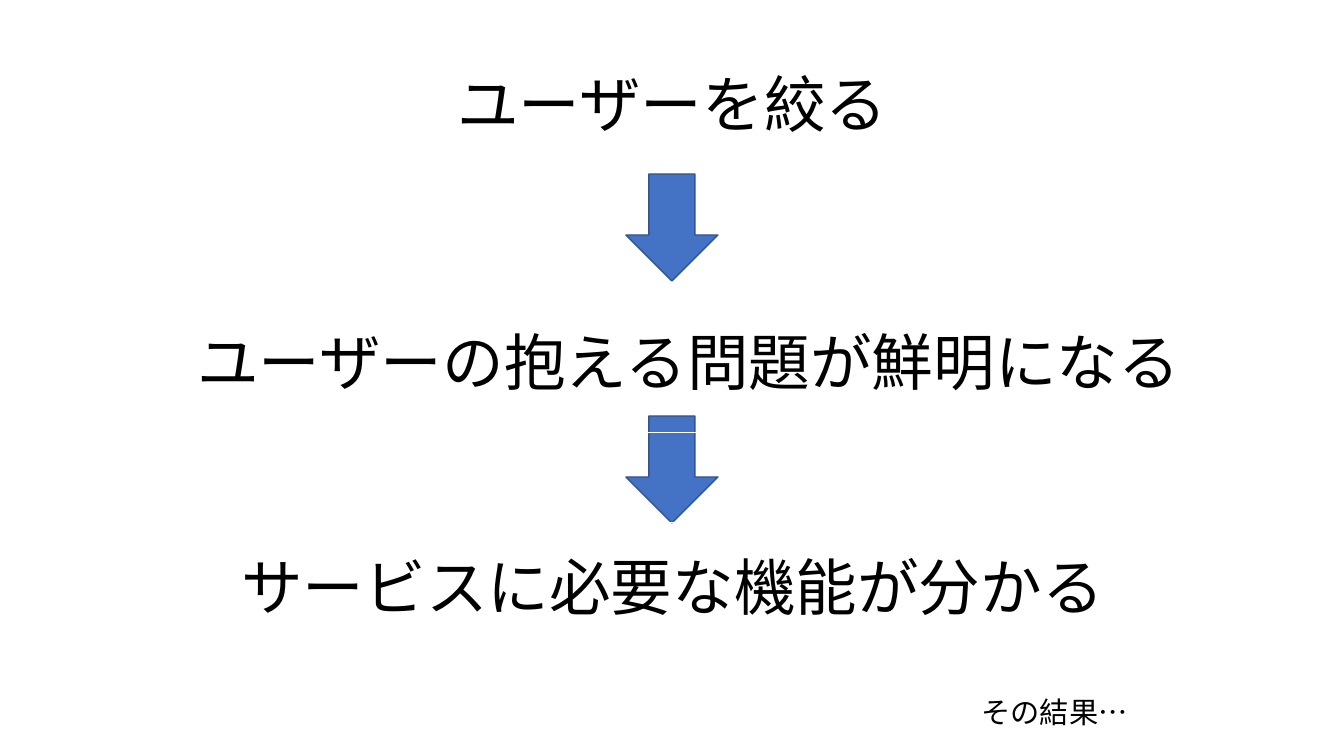
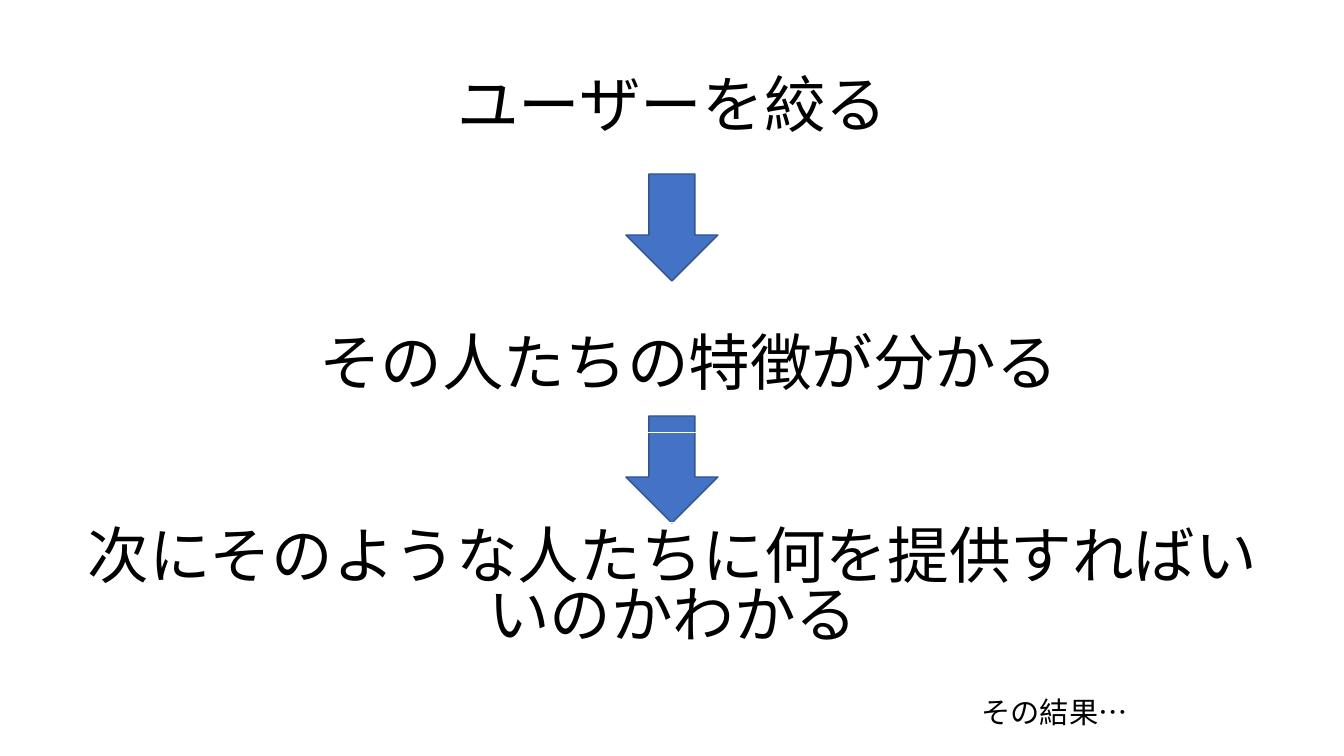
from pptx import Presentation
from pptx.dml.color import RGBColor
from pptx.enum.shapes import MSO_SHAPE
from pptx.enum.text import MSO_ANCHOR, MSO_AUTO_SIZE, PP_ALIGN
from pptx.util import Pt
from lxml.etree import SubElement
from pptx.oxml.ns import qn

SCALE = 914400 / 100.8
FONT = "Noto Sans CJK JP"
COLORS = {"text": "000000", "frame": "FFFFFF", "arrow": "4472C4", "arrow_edge": "325491"}


def px(*lengths):
    return [round(length * SCALE) for length in lengths]


def write(shape, box, text, size=44, spacing=0.9):
    shape.left, shape.top, shape.width, shape.height = px(*box)
    shape.line.color.rgb = RGBColor.from_string(COLORS["frame"])
    shape.line.width = Pt(0.75)
    frame = shape.text_frame
    frame.text = text
    frame.word_wrap = True
    frame.auto_size = MSO_AUTO_SIZE.NONE
    frame.vertical_anchor = MSO_ANCHOR.MIDDLE
    paragraph = frame.paragraphs[0]
    paragraph.alignment = PP_ALIGN.CENTER
    paragraph.line_spacing = spacing
    font = paragraph.runs[0].font
    font.size = Pt(size)
    font.color.rgb = RGBColor.from_string(COLORS["text"])
    font.name = FONT
    # Japanese glyphs take the East Asian typeface
    SubElement(paragraph.runs[0]._r.rPr, qn("a:ea"), typeface=FONT)


# Shared layout
TITLE = "ユーザーを絞る"
TITLE_BOX = (93, 40, 1159, 135)
FINDING_BOX = (81, 298, 1216, 135)
OUTCOME_BOX = (65, 523, 1216, 135)
NEXT_BOX = (773, 698, 563, 37)
ARROW_TOPS = (174, 416)

# Finding, outcome and outcome line spacing of each slide
chains = [
    ("ユーザーの抱える問題が鮮明になる", "サービスに必要な機能が分かる", 0.9),
    ("その人たちの特徴が分かる", "次にそのような人たちに何を提供すればいいのかわかる", 0.8),
]

prs = Presentation()
prs.slide_width, prs.slide_height = px(1344, 756)

for finding, outcome, outcome_spacing in chains:
    slide = prs.slides.add_slide(prs.slide_layouts[5])
    write(slide.shapes.title, TITLE_BOX, TITLE)

    # Arrows between the steps
    for top in ARROW_TOPS:
        arrow = slide.shapes.add_shape(MSO_SHAPE.DOWN_ARROW, *px(626, top, 92, 107))
        arrow.shadow.inherit = False
        arrow.fill.solid()
        arrow.fill.fore_color.rgb = RGBColor.from_string(COLORS["arrow"])
        arrow.line.color.rgb = RGBColor.from_string(COLORS["arrow_edge"])
        arrow.line.width = Pt(1)

    # Steps and the lead-in to the next slide
    for box, text, size, spacing in (
        (OUTCOME_BOX, outcome, 44, outcome_spacing),
        (FINDING_BOX, finding, 44, 0.9),
        (NEXT_BOX, "その結果…", 20.9, 0.7),
    ):
        write(slide.shapes.add_textbox(*px(*box)), box, text, size, spacing)

prs.save("out.pptx")
